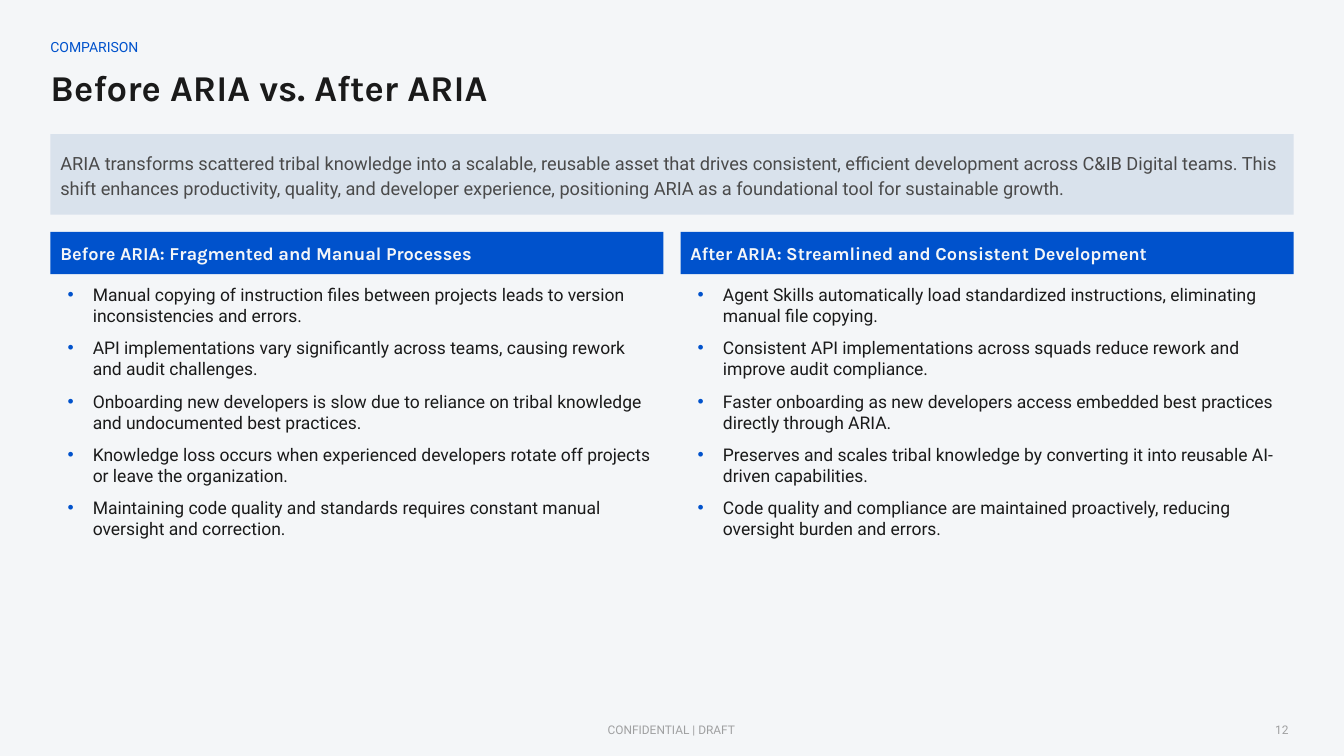
from lxml.etree import SubElement
from pptx import Presentation
from pptx.dml.color import RGBColor
from pptx.enum.shapes import MSO_SHAPE
from pptx.enum.text import MSO_ANCHOR, MSO_AUTO_SIZE, PP_ALIGN
from pptx.oxml.ns import qn
from pptx.util import Inches, Pt

BLUE, INK, GREY, PALE, BAND = "0052CC", "1A1A1A", "4A4A4A", "F4F6F8", "D9E2EC"
LEFT, WIDTH = 0.5, 12.33
COLUMN_WIDTH, COLUMN_STEP = 6.08, 6.25

SUMMARY = (
    "ARIA transforms scattered tribal knowledge into a scalable, reusable asset that drives "
    "consistent, efficient development across C&IB Digital teams. This shift enhances "
    "productivity, quality, and developer experience, positioning ARIA as a foundational tool "
    "for sustainable growth."
)
COLUMNS = [
    ("Before ARIA: Fragmented and Manual Processes", [
        "Manual copying of instruction files between projects leads to version inconsistencies and errors.",
        "API implementations vary significantly across teams, causing rework and audit challenges.",
        "Onboarding new developers is slow due to reliance on tribal knowledge and undocumented best practices.",
        "Knowledge loss occurs when experienced developers rotate off projects or leave the organization.",
        "Maintaining code quality and standards requires constant manual oversight and correction.",
    ]),
    ("After ARIA: Streamlined and Consistent Development", [
        "Agent Skills automatically load standardized instructions, eliminating manual file copying.",
        "Consistent API implementations across squads reduce rework and improve audit compliance.",
        "Faster onboarding as new developers access embedded best practices directly through ARIA.",
        "Preserves and scales tribal knowledge by converting it into reusable AI-driven capabilities.",
        "Code quality and compliance are maintained proactively, reducing oversight burden and errors.",
    ]),
]


def paint(target, color):
    target.solid()
    target.fore_color.rgb = RGBColor.from_string(color)


def write(paragraph, text, size, color, font="Roboto", bold=False,
          align=PP_ALIGN.LEFT, line_spacing=1.0, opacity=None):
    paragraph.alignment = align
    paragraph.line_spacing = line_spacing
    paragraph.space_before = Pt(0)
    run = paragraph.add_run()
    run.text = text
    run.font.size = Pt(size)
    run.font.name = font
    run.font.bold = bold
    paint(run.font.fill, color)
    if opacity is not None:
        for color_element in run.font._element.iter(qn("a:srgbClr")):
            SubElement(color_element, qn("a:alpha"), val=str(opacity * 1000))


def add_bullet(paragraph, color):
    properties = paragraph._p.get_or_add_pPr()
    properties.set("marL", str(Inches(0.32)))
    properties.set("indent", str(Inches(-0.25)))
    bullet_color = SubElement(properties, qn("a:buClr"))
    SubElement(bullet_color, qn("a:srgbClr"), val=color)
    SubElement(properties, qn("a:buChar"), char="•")


class ComparisonSlide:
    def __init__(self, presentation):
        self.slide = presentation.slides.add_slide(presentation.slide_layouts[3])
        paint(self.slide.background.fill, PALE)

    def frame(self, shape, insets, anchor):
        text_frame = shape.text_frame
        text_frame.word_wrap = True
        text_frame.auto_size = MSO_AUTO_SIZE.NONE
        text_frame.vertical_anchor = anchor
        (text_frame.margin_left, text_frame.margin_top,
         text_frame.margin_right, text_frame.margin_bottom) = map(Inches, insets)
        return text_frame

    def place(self, index, box):
        shape = self.slide.placeholders[index]
        shape.left, shape.top, shape.width, shape.height = map(Inches, box)
        return shape

    def title(self, text, box):
        text_frame = self.frame(self.place(0, box), (0, 0.1, 0, 0.05), MSO_ANCHOR.MIDDLE)
        write(text_frame.paragraphs[0], text, 26, INK, font="Karla", bold=True)

    def bullets(self, index, items, box):
        text_frame = self.frame(self.place(index, box), (0.1, 0.1, 0.1, 0), MSO_ANCHOR.TOP)
        for position, item in enumerate(items):
            paragraph = text_frame.add_paragraph() if position else text_frame.paragraphs[0]
            paragraph.space_after = Pt(8)
            write(paragraph, item, 12.5, INK)
            add_bullet(paragraph, BLUE)

    def label(self, text, box, inset=0.05, **style):
        shape = self.slide.shapes.add_textbox(*map(Inches, box))
        text_frame = self.frame(shape, (inset,) * 4, MSO_ANCHOR.MIDDLE)
        write(text_frame.paragraphs[0], text, **style)

    def banner(self, text, box, fill, **style):
        shape = self.slide.shapes.add_shape(MSO_SHAPE.RECTANGLE, *map(Inches, box))
        shape.shadow.inherit = False
        shape.line.fill.background()
        paint(shape.fill, fill)
        text_frame = self.frame(shape, (0.1, 0.05, 0.1, 0.05), MSO_ANCHOR.MIDDLE)
        write(text_frame.paragraphs[0], text, size=13, **style)


def main():
    presentation = Presentation()
    presentation.slide_width = Inches(13.33)
    presentation.slide_height = Inches(7.5)

    comparison = ComparisonSlide(presentation)
    comparison.title("Before ARIA vs. After ARIA", (LEFT, 0.5, WIDTH, 0.67))
    comparison.label("COMPARISON", (LEFT, 0.38, WIDTH, 0.2), inset=0,
                     size=10, color=BLUE, line_spacing=0.9)
    comparison.banner(SUMMARY, (LEFT, 1.33, WIDTH, 0.8), BAND, color=GREY, line_spacing=1.15)

    for column, (heading, items) in enumerate(COLUMNS):
        left = LEFT + column * COLUMN_STEP
        comparison.bullets(column + 1, items, (left, 2.72, COLUMN_WIDTH, 4.28))
        comparison.banner(heading, (left, 2.3, COLUMN_WIDTH, 0.42), BLUE,
                          color=PALE, font="Karla", bold=True)

    footer_style = {"size": 8.5, "color": GREY, "opacity": 50}
    comparison.label("CONFIDENTIAL | DRAFT", (4.41, 7.12, 4.5, 0.24),
                     align=PP_ALIGN.CENTER, **footer_style)
    comparison.label("12", (9.83, 7.12, 3, 0.24), align=PP_ALIGN.RIGHT, **footer_style)

    presentation.save("out.pptx")


if __name__ == "__main__":
    main()
